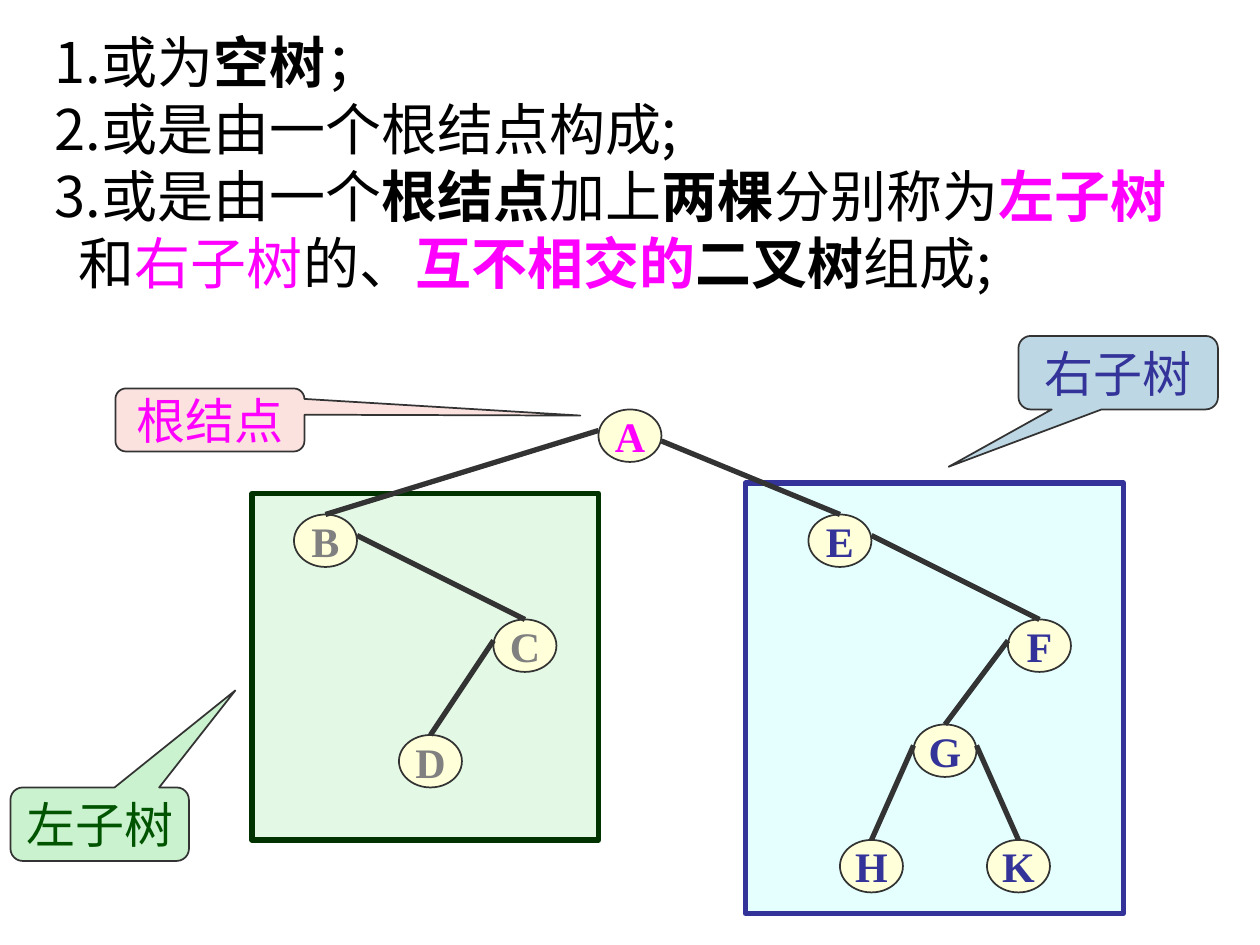
"""Build a slide that defines a binary tree and shows an example."""
import pptx
import pptx.util
import pptx.dml.color
import pptx.enum.shapes
import pptx.enum.text
from lxml import etree

Pt = pptx.util.Pt
KINDS = pptx.enum.shapes.MSO_SHAPE
CJK, ROMAN = "Noto Sans CJK SC", "Times New Roman"
INK, PINK, BLUE, GREY, DARK = "000000", "FF00FF", "333399", "808080", "333333"
UNIT = 6
NODE_W, NODE_H = 36, 30

RULES = [
    [("1.或为", INK, False), ("空树", INK, True), ("；", INK, False)],
    [("2.或是由一个根结点构成;", INK, False)],
    [("3.或是由一个", INK, False), ("根结点", INK, True), ("加上", INK, False),
     ("两棵", INK, True), ("分别称为", INK, False), ("左子树", PINK, True)],
    [("和", INK, False), ("右子树", PINK, False), ("的、", INK, False),
     ("互不相交的", PINK, True), ("二叉树", INK, True), ("组成;", INK, False)],
]
INDENTS = [0, 0, 0, 14]
FRAMES = [
    ((71, 46, 36, 41), "CCFFFF", BLUE),
    ((24, 47, 33, 33), "CAF2CE", "003300"),
]
NODES = {
    "A": (57, 39, PINK), "B": (28, 49, GREY), "C": (47, 59, GREY),
    "D": (38, 70, GREY), "E": (77, 49, BLUE), "F": (96, 59, BLUE),
    "G": (87, 69, BLUE), "H": (80, 80, BLUE), "K": (94, 80, BLUE),
}
EDGES = [
    ("A", "B", 0, 12), ("B", "C", 1, 12), ("C", "D", 0, 12), ("A", "E", 1, 18),
    ("E", "F", 1, 12), ("F", "G", 0, 12), ("G", "H", 0, 12), ("G", "K", 1, 12),
]
CALLS = [
    ("根结点", (11, 37, 18, 6), (1.96, -0.07), "FBE2DF", PINK),
    ("左子树", (1, 75, 17, 7), (0.76, -1.82), "CAF2CE", "005400"),
    ("右子树", (97, 32, 19, 7), (-0.85, 1.28), "BDD7E5", BLUE),
]


def rgb(code):
    """Return the colour for a hex string."""
    return pptx.dml.color.RGBColor.from_string(code)


def style(run, size, face, color, bold=False):
    """Format one run of text."""
    font = run.font
    font.size, font.name, font.bold = Pt(size), face, bold
    font.color.rgb = rgb(color)
    tag = pptx.oxml.ns.qn("a:ea")
    etree.SubElement(font._element, tag).set("typeface", CJK)


def add_box(shapes, kind, box, fill, line, width):
    """Add a filled and outlined shape."""
    shape = shapes.add_shape(kind, *[Pt(n) for n in box])
    shape.shadow.inherit = False
    shape.fill.solid()
    shape.fill.fore_color.rgb = rgb(fill)
    shape.line.color.rgb = rgb(line)
    shape.line.width = Pt(width)
    return shape


def label(shape, text, size, color, bold):
    """Centre a short label in a shape."""
    frame = shape.text_frame
    frame.text = text
    frame.word_wrap = False
    frame.vertical_anchor = pptx.enum.text.MSO_ANCHOR.MIDDLE
    para = frame.paragraphs[0]
    para.alignment = pptx.enum.text.PP_ALIGN.CENTER
    style(para.runs[0], size, ROMAN, color, bold)


def add_rules(shapes):
    """Add the definition at the top."""
    frame = shapes.add_textbox(Pt(24), Pt(12), Pt(678), Pt(161)).text_frame
    frame.word_wrap = True
    for i, (parts, indent) in enumerate(zip(RULES, INDENTS)):
        para = frame.add_paragraph() if i else frame.paragraphs[0]
        if indent:
            para._p.get_or_add_pPr().set("marL", str(Pt(indent)))
        for text, color, bold in parts:
            run = para.add_run()
            run.text = text
            style(run, 32, CJK, color, bold)


def add_edge(shapes, start, child, side, drop):
    """Join one side of a node to the top of its child."""
    x = start.left + side * start.width
    y = start.top + Pt(drop)
    kind = pptx.enum.shapes.MSO_CONNECTOR.STRAIGHT
    edge = shapes.add_connector(kind, x, y, child.left + child.width // 2, child.top)
    edge.end_connect(child, 0)
    edge.line.color.rgb = rgb(DARK)
    edge.line.width = Pt(3)
    etree.SubElement(edge._element.spPr, pptx.oxml.ns.qn("a:effectLst"))


def main():
    """Draw the slide and save it."""
    deck = pptx.Presentation()
    deck.slide_width, deck.slide_height = Pt(720), Pt(540)
    shapes = deck.slides.add_slide(deck.slide_layouts[6]).shapes
    for box, fill, line in FRAMES:
        grid = [n * UNIT for n in box]
        frame = add_box(shapes, KINDS.RECTANGLE, grid, fill, line, 3)
        tint = frame.fill._xPr.find(".//" + pptx.oxml.ns.qn("a:srgbClr"))
        etree.SubElement(tint, pptx.oxml.ns.qn("a:alpha")).set("val", "50000")
    add_rules(shapes)
    nodes = {}
    for name, (x, y, color) in NODES.items():
        box = (x * UNIT, y * UNIT, NODE_W, NODE_H)
        nodes[name] = add_box(shapes, KINDS.OVAL, box, "FFFFD9", DARK, 1)
        label(nodes[name], name, 24, color, True)
    for head, tail, side, drop in EDGES:
        add_edge(shapes, nodes[head], nodes[tail], side, drop)
    for text, box, tip, fill, color in CALLS:
        grid = [n * UNIT for n in box]
        call = add_box(shapes, KINDS.ROUNDED_RECTANGULAR_CALLOUT, grid, fill, DARK, 1)
        call.adjustments[0], call.adjustments[1] = tip
        label(call, text, 28, color, False)
    deck.save("out.pptx")


if __name__ == "__main__":
    main()
